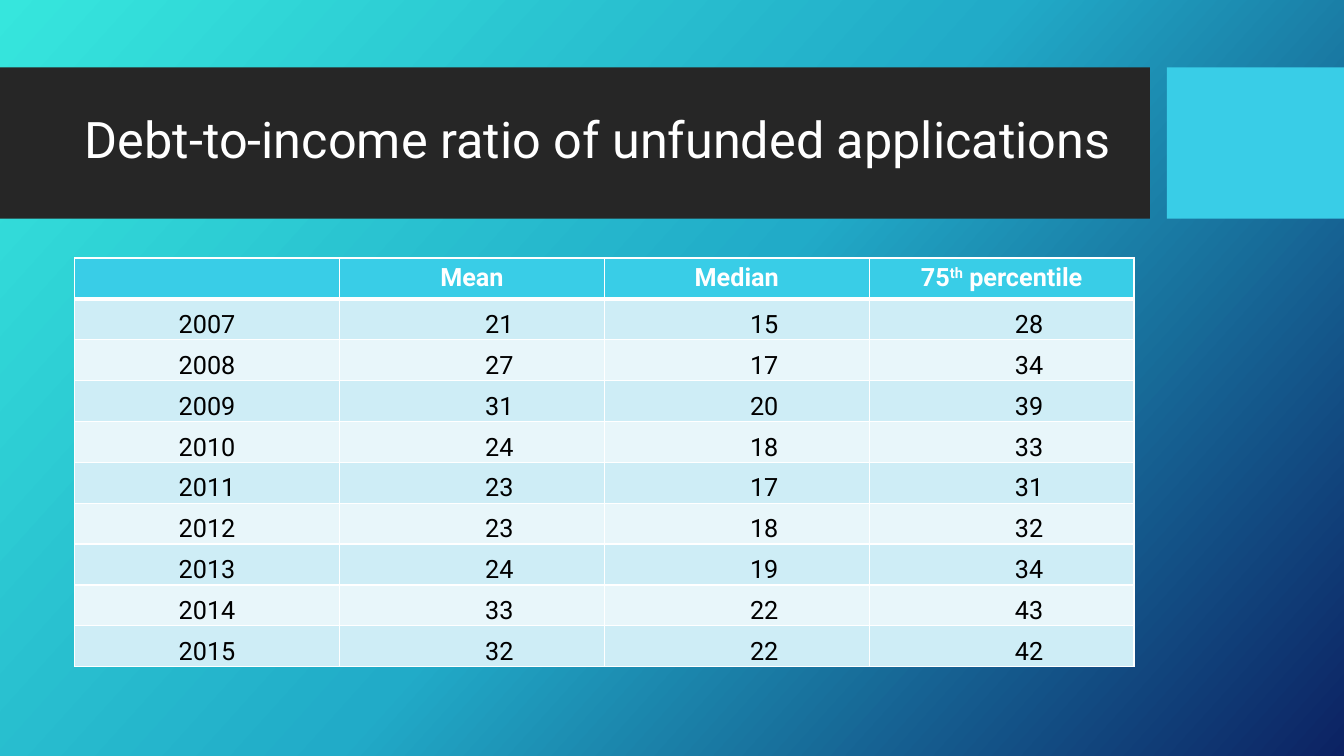
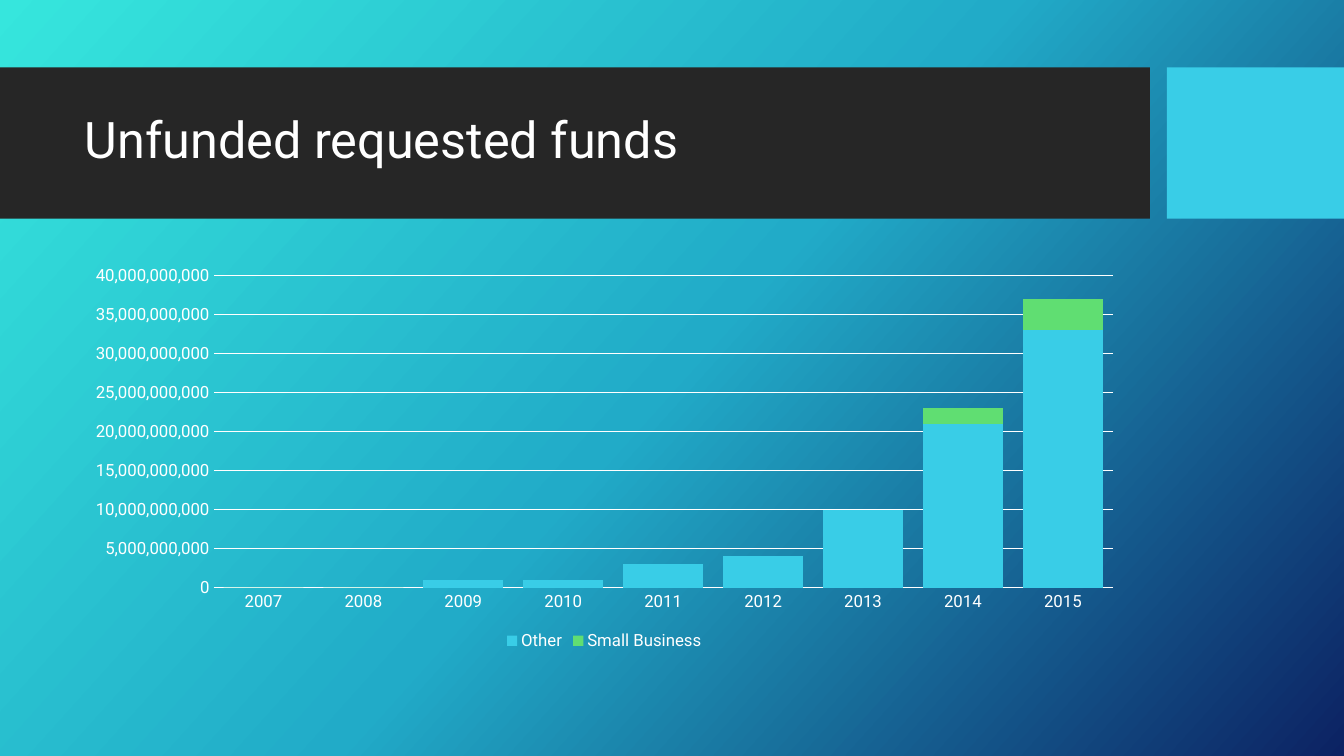
from copy import deepcopy

from lxml import etree
from pptx import Presentation
from pptx import util as u
from pptx.chart.data import CategoryChartData
from pptx.dml.color import RGBColor
from pptx.enum import chart as charts, shapes, text
from pptx.oxml.ns import qn

FONT = "Roboto"
WHITE = RGBColor(0xFF, 0xFF, 0xFF)
BLACK = RGBColor(0x00, 0x00, 0x00)
CHARCOAL = RGBColor(0x26, 0x26, 0x26)
CYAN = RGBColor(0x39, 0xCD, 0xE7)
GREEN = RGBColor(0x60, 0xDE, 0x72)
ROW_DARK = RGBColor(0xCE, 0xED, 0xF6)
ROW_LIGHT = RGBColor(0xE8, 0xF6, 0xFA)
GRADIENT = [(0, RGBColor(0x36, 0xE6, 0xDD)),
            (0.5, RGBColor(0x21, 0xAB, 0xC8)),
            (1, RGBColor(0x0C, 0x22, 0x63))]

SLIDE_WIDTH, SLIDE_HEIGHT = u.Cm(33.87), u.Cm(19.05)
LEFT, WIDTH = u.Cm(1.88), u.Cm(26.7)
CONTENT_TOP = u.Cm(6.5)
BAND_TOP, BAND_HEIGHT = u.Cm(1.7), u.Cm(3.81)
ACCENT_LEFT = u.Cm(29.41)

YEARS = [str(year) for year in range(2007, 2016)]
MEANS = [21, 27, 31, 24, 23, 23, 24, 33, 32]
MEDIANS = [15, 17, 20, 18, 17, 18, 19, 22, 22]
PERCENTILES = [28, 34, 39, 33, 31, 32, 34, 43, 42]
BILLION = 10 ** 9
FUNDS = [("Other", CYAN, [0, 0, 1, 1, 3, 4, 10, 21, 33]),
         ("Small Business", GREEN, [0, 0, 0, 0, 0, 0, 0, 2, 4])]


class Deck:
    """Holds the shared style and the current page."""

    def __init__(self):
        self.deck = Presentation()
        self.deck.slide_width, self.deck.slide_height = SLIDE_WIDTH, SLIDE_HEIGHT
        self.page = None
        self.set_background()

    def set_background(self):
        master = self.deck.slide_master
        fill = master.background.fill
        fill.gradient()
        fill.gradient_angle = 360 - 42
        stops = master.element.find(".//" + qn("a:gsLst"))
        stops.insert(1, deepcopy(stops[0]))
        for stop, (position, color) in zip(fill.gradient_stops, GRADIENT):
            stop.position = position
            stop.color.rgb = color

    def style(self, font, size, color=WHITE, bold=False):
        font.name, font.size, font.bold = FONT, u.Pt(size), bold
        font.color.rgb = color

    def add_band(self, left, width, color):
        band = self.page.shapes.add_shape(
            shapes.MSO_SHAPE.RECTANGLE, left, BAND_TOP, width, BAND_HEIGHT)
        band.shadow.inherit = False
        band.fill.solid()
        band.fill.fore_color.rgb = color
        band.line.fill.background()

    def add_page(self, heading):
        self.page = self.deck.slides.add_slide(self.deck.slide_layouts[5])
        self.add_band(0, u.Cm(28.98), CHARCOAL)
        self.add_band(ACCENT_LEFT, SLIDE_WIDTH - ACCENT_LEFT, CYAN)
        # Title goes in front of the bands
        title = self.page.shapes.title
        title.element.getparent().append(title.element)
        title.left, title.top, title.width, title.height = (
            LEFT, u.Cm(2.08), WIDTH, u.Cm(3))
        frame = title.text_frame
        frame.text = heading
        frame.word_wrap = True
        frame.vertical_anchor = text.MSO_ANCHOR.MIDDLE
        para = frame.paragraphs[0]
        para.alignment = text.PP_ALIGN.LEFT
        para.line_spacing = 0.9
        self.style(para.runs[0].font, 36)

    def add_borders(self, cell, top=1, bottom=1):
        props = cell._tc.get_or_add_tcPr()
        widths = {"lnL": 1, "lnR": 1, "lnT": top, "lnB": bottom}
        for index, (side, width) in enumerate(widths.items()):
            line = etree.Element(qn("a:" + side), w=str(u.Pt(width)))
            solid = etree.SubElement(line, qn("a:solidFill"))
            etree.SubElement(solid, qn("a:srgbClr"), val=str(WHITE))
            props.insert(index, line)

    def fill_cell(self, cell, spans, color, font_color, bold, alignment):
        cell.fill.solid()
        cell.fill.fore_color.rgb = color
        para = cell.text_frame.paragraphs[0]
        para.alignment = alignment
        for words in spans:
            span = para.add_run()
            span.text = words
            self.style(span.font, 18, font_color, bold)

    def add_table(self, headings, rows):
        frame = self.page.shapes.add_table(
            len(rows) + 1, len(headings), LEFT, CONTENT_TOP, WIDTH, u.Cm(10.3))
        table = frame.table
        table.horz_banding = False
        # Heading row
        for column, spans in enumerate(headings):
            cell = table.cell(0, column)
            self.fill_cell(cell, spans, CYAN, WHITE, True, text.PP_ALIGN.CENTER)
            self.add_borders(cell, bottom=3)
            for span in cell.text_frame.paragraphs[0].runs:
                if span.text == "th":
                    span._r.get_or_add_rPr().set("baseline", "30000")
        # Year rows in alternating colours
        for number, values in enumerate(rows, start=1):
            color = ROW_DARK if number % 2 else ROW_LIGHT
            for column, value in enumerate(values):
                cell = table.cell(number, column)
                alignment = text.PP_ALIGN.RIGHT if column else text.PP_ALIGN.CENTER
                self.fill_cell(cell, [str(value)], color, BLACK, False, alignment)
                cell.vertical_anchor = text.MSO_ANCHOR.BOTTOM
                cell.margin_left = cell.margin_top = u.Cm(0.03)
                cell.margin_right = u.Cm(2.29 if column else 0.03)
                cell.margin_bottom = 0
                self.add_borders(cell, top=3 if number == 1 else 1)

    def add_chart(self, categories, series):
        data = CategoryChartData(number_format="#,##0")
        data.categories = categories
        for name, _, values in series:
            data.add_series(name, [value * BILLION for value in values])
        chart = self.page.shapes.add_chart(
            charts.XL_CHART_TYPE.COLUMN_STACKED,
            LEFT, CONTENT_TOP, WIDTH, u.Cm(10), data).chart
        self.style(chart.font, 10)
        chart.has_title = False
        # Columns
        plot = chart.plots[0]
        plot.gap_width, plot.overlap, plot.vary_by_categories = 25, 100, False
        for columns, (_, color, _) in zip(plot.series, series):
            columns.format.fill.solid()
            columns.format.fill.fore_color.rgb = color
        # Axes
        for axis in (chart.category_axis, chart.value_axis):
            axis.major_tick_mark = axis.minor_tick_mark = charts.XL_TICK_MARK.NONE
            self.style(axis.tick_labels.font, 12)
        axis = chart.value_axis
        axis.minimum_scale, axis.maximum_scale = 0, 40 * BILLION
        axis.major_unit = 5 * BILLION
        axis.tick_labels.number_format = "#,##0"
        axis.tick_labels.number_format_is_linked = False
        axis.format.line.fill.background()
        for line in (chart.category_axis.format.line,
                     axis.major_gridlines.format.line):
            line.color.rgb = WHITE
            line.width = u.Pt(0.75)
        # Legend
        chart.has_legend = True
        chart.legend.position = charts.XL_LEGEND_POSITION.BOTTOM
        chart.legend.include_in_layout = False
        self.style(chart.legend.font, 12)

    def save(self):
        self.deck.save("out.pptx")


def main():
    deck = Deck()

    # Debt-to-income table
    deck.add_page("Debt-to-income ratio of unfunded applications")
    deck.add_table([[], ["Mean"], ["Median"], ["75", "th", " percentile"]],
                   list(zip(YEARS, MEANS, MEDIANS, PERCENTILES)))

    # Requested funds chart
    deck.add_page("Unfunded requested funds")
    deck.add_chart(YEARS, FUNDS)

    deck.save()


if __name__ == "__main__":
    main()
